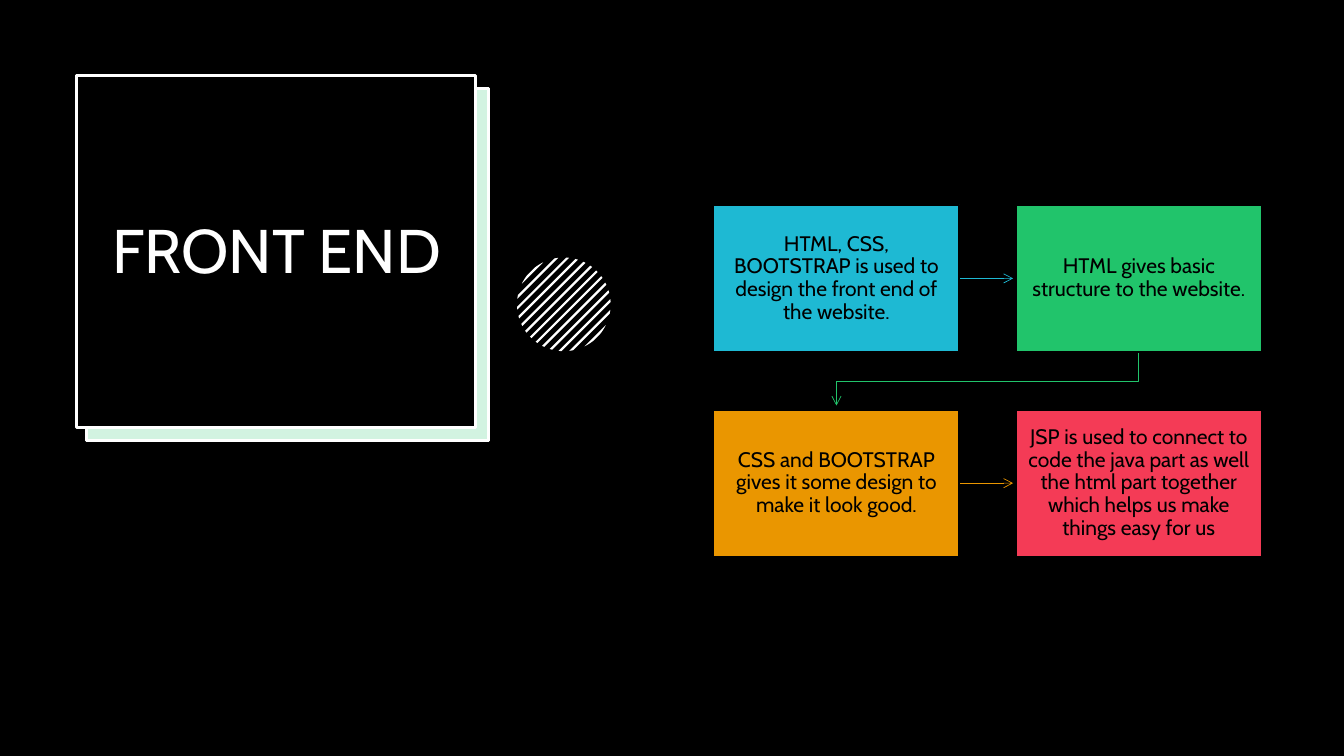
"""Build the FRONT END slide: framed title, hatched circle and a four-step flow."""
from math import acos, cos, pi, sin, sqrt

from lxml.etree import SubElement
from pptx import Presentation
from pptx.dml.color import RGBColor
from pptx.enum.shapes import MSO_CONNECTOR as Connector, MSO_SHAPE as Preset
from pptx.enum.text import MSO_ANCHOR as Anchor, PP_ALIGN as Align
from pptx.oxml.ns import qn
from pptx.util import Cm, Pt

TITLE = "FRONT END"
STEPS = [
    ("HTML, CSS, BOOTSTRAP is used to design the front end of the website.", "1EB9D3"),
    ("HTML gives basic structure to the website.", "21C46B"),
    ("CSS and BOOTSTRAP gives it some design to make it look good.", "EA9600"),
    ("JSP is used to connect to code the java part as well the html part together "
     "which helps us make things easy for us", "F43B56"),
]
FONT, BLACK, WHITE, GREEN = "Cabin", "000000", "FFFFFF", "21C46B"

BACK_FRAME = (2.18, 2.24, 10.13, 8.86)
FRONT_FRAME = (1.93, 1.91, 10.06, 8.86)
TITLE_BOX = (2.06, 2.39, 9.83, 8)

BOX_LEFT, BOX_TOP, BOX_WIDTH, BOX_HEIGHT = 17.98, 5.16, 6.2, 3.71
COLUMN_PITCH, ROW_PITCH = 7.62, 5.16
ARROW_LENGTH, ELBOW_DROP, ELBOW_HEIGHT = 1.35, 0.74, 1.35

CENTRE_X, CENTRE_Y, RADIUS = 14.21, 7.67, 1.18
STRIPES, STRIPE_PITCH, STRIPE_WIDTH, ARC_STEPS = 13, 0.27, 0.08, 6


def color(value):
    return RGBColor.from_string(value)


def style(shape, fill, line=None, width=0):
    shape.shadow.inherit = False
    if fill:
        shape.fill.solid()
        shape.fill.fore_color.rgb = color(fill)
    else:
        shape.fill.background()
    if line:
        shape.line.color.rgb = color(line)
        shape.line.width = Pt(width)
    else:
        shape.line.fill.background()


def add_rectangle(slide, box, fill, line, width):
    shape = slide.shapes.add_shape(Preset.RECTANGLE, *map(Cm, box))
    style(shape, fill, line, width)
    return shape


def write(shape, text, size, text_color, side=0.25, end=0.13):
    frame = shape.text_frame
    frame.word_wrap = True
    frame.vertical_anchor = Anchor.MIDDLE
    frame.margin_left = frame.margin_right = Cm(side)
    frame.margin_top = frame.margin_bottom = Cm(end)
    paragraph = frame.paragraphs[0]
    paragraph.text = text
    paragraph.alignment = Align.CENTER
    paragraph.line_spacing = 0.9
    paragraph.font.name = FONT
    paragraph.font.size = Pt(size)
    paragraph.font.color.rgb = color(text_color)


def add_freeform(slide, points, close):
    corners = [(Cm(x), Cm(y)) for x, y in points]
    builder = slide.shapes.build_freeform(*corners[0])
    builder.add_line_segments(corners[1:], close=close)
    return builder.convert_to_shape()


def add_arrowhead(shape):
    SubElement(shape.line._get_or_add_ln(), qn("a:tailEnd"), type="arrow")


def add_title(slide):
    add_rectangle(slide, BACK_FRAME, WHITE, WHITE, 2.25)
    tint = add_rectangle(slide, BACK_FRAME, GREEN, WHITE, 2.25)
    tint_color = tint._element.spPr.find(qn("a:solidFill")).find(qn("a:srgbClr"))
    SubElement(tint_color, qn("a:alpha"), val="20000")
    add_rectangle(slide, FRONT_FRAME, BLACK, WHITE, 2.25)
    write(slide.shapes.add_textbox(*map(Cm, TITLE_BOX)), TITLE, 44, WHITE)


def add_hatched_circle(slide):
    reach = RADIUS * sqrt(2)
    for index in range(STRIPES):
        middle = (index - STRIPES // 2) * STRIPE_PITCH
        first, last = (acos(max(-1, min(1, (middle + half) / reach)))
                       for half in (-STRIPE_WIDTH / 2, STRIPE_WIDTH / 2))
        arc = [first + (last - first) * step / ARC_STEPS for step in range(ARC_STEPS + 1)]
        angles = [pi / 4 + a for a in arc] + [pi / 4 - a for a in reversed(arc)]
        points = [(CENTRE_X + RADIUS * cos(a), CENTRE_Y + RADIUS * sin(a)) for a in angles]
        style(add_freeform(slide, points, True), WHITE)


def add_flow(slide):
    arrows = {}
    for row in range(2):
        start = BOX_LEFT + BOX_WIDTH
        y = BOX_TOP + row * ROW_PITCH + BOX_HEIGHT / 2
        arrow = slide.shapes.add_connector(
            Connector.STRAIGHT, Cm(start), Cm(y), Cm(start + ARROW_LENGTH), Cm(y))
        arrow.line.color.rgb = color(STEPS[row * 2][1])
        arrow.line.width = Pt(0.5)
        add_arrowhead(arrow)
        SubElement(arrow._element.spPr, qn("a:effectLst"))
        arrows[row * 2] = arrow

    left = BOX_LEFT + BOX_WIDTH / 2
    right, top = left + COLUMN_PITCH, BOX_TOP + BOX_HEIGHT
    elbow = add_freeform(slide, [(right, top), (right, top + ELBOW_DROP),
                                 (left, top + ELBOW_DROP), (left, top + ELBOW_HEIGHT)], False)
    style(elbow, None, STEPS[1][1], 0.5)
    add_arrowhead(elbow)

    for index, (text, fill) in enumerate(STEPS):
        row, column = divmod(index, 2)
        box = (BOX_LEFT + column * COLUMN_PITCH, BOX_TOP + row * ROW_PITCH,
               BOX_WIDTH, BOX_HEIGHT)
        step = add_rectangle(slide, box, fill, BLACK, 1.5)
        write(step, text, 15, BLACK, 0.3, 0.33)
        if index in arrows:
            arrows[index].begin_connect(step, 3)


def main():
    presentation = Presentation()
    presentation.slide_width, presentation.slide_height = Cm(33.87), Cm(19.05)
    slide = presentation.slides.add_slide(presentation.slide_layouts[6])
    slide.background.fill.solid()
    slide.background.fill.fore_color.rgb = color(BLACK)
    add_title(slide)
    add_hatched_circle(slide)
    add_flow(slide)
    presentation.save("out.pptx")


if __name__ == "__main__":
    main()
